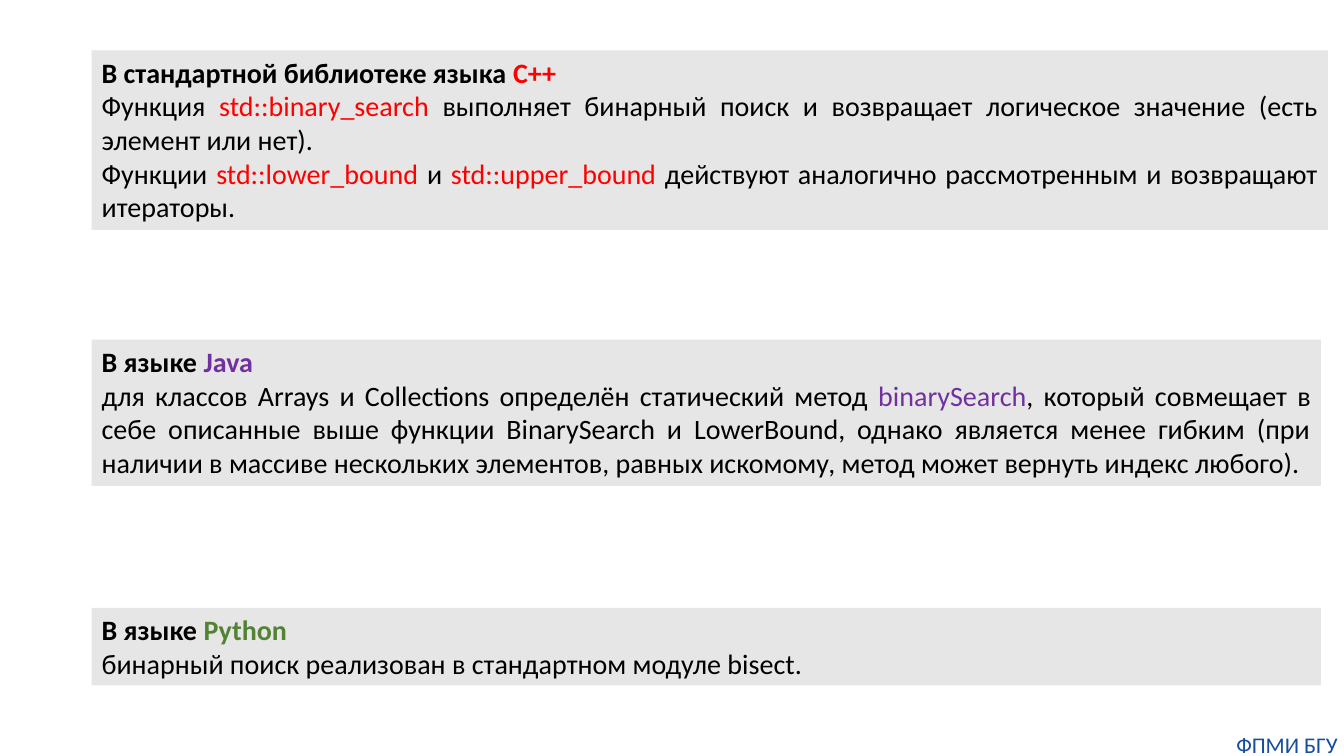
import pptx
import pptx.dml.color
import pptx.enum.shapes
import pptx.enum.text
import pptx.util

WIDTH, HEIGHT = 13.33, 7.5
LEFT = 0.91
FONT = "Calibri"
COLOURS = {
    "panel": "E7E6E6",
    "text": "000000",
    "cpp": "FF0000",
    "java": "7030A0",
    "python": "548235",
    "footer": "144E9D",
}
ALIGN = pptx.enum.text.PP_ALIGN

# Each panel: top, width, height, accent, heading, language, body paragraphs.
# Body spans at odd positions take the accent colour.
PANELS = [
    (0.5, 12.26, 1.78, "cpp", "В стандартной библиотеке языка ", "C++", [
        ["Функция ", "std::binary_search ",
         "выполняет бинарный поиск и возвращает логическое значение "
         "(есть элемент или нет)."],
        ["Функции ", "std::lower_bound ", "и ", "std::upper_bound ",
         "действуют аналогично рассмотренным и возвращают итераторы."],
    ]),
    (3.37, 12.19, 1.45, "java", "В языке ", "Java", [
        ["для классов Arrays и Collections определён статический метод ",
         "binarySearch",
         ", который совмещает в себе описанные выше функции BinarySearch "
         "и LowerBound, однако является менее гибким (при наличии в массиве "
         "нескольких элементов, равных искомому, метод может вернуть "
         "индекс любого)."],
    ]),
    (6.03, 12.19, 0.77, "python", "В языке ", "Python", [
        ["бинарный поиск реализован в стандартном модуле bisect."],
    ]),
]


def colour(name):
    return pptx.dml.color.RGBColor.from_string(COLOURS[name])


def add_span(para, text, colour_name, size=20, bold=False):
    span = para.add_run()
    span.text = text
    span.font.name = FONT
    span.font.size = pptx.util.Pt(size)
    span.font.bold = bold
    span.font.color.rgb = colour(colour_name)


def add_spans(para, texts, accent, bold=False):
    """Add runs that alternate between the text and accent colours."""
    for index, text in enumerate(texts):
        add_span(para, text, accent if index % 2 else "text", bold=bold)


def add_panel(page, box, accent, heading, language, body):
    panel = page.shapes.add_shape(
        pptx.enum.shapes.MSO_SHAPE.RECTANGLE, *map(pptx.util.Inches, box))
    panel.shadow.inherit = False
    panel.fill.solid()
    panel.fill.fore_color.rgb = colour("panel")
    panel.line.fill.background()
    frame = panel.text_frame
    frame.word_wrap = True
    frame.vertical_anchor = pptx.enum.text.MSO_ANCHOR.TOP
    title = frame.paragraphs[0]
    title.alignment = ALIGN.LEFT
    add_spans(title, [heading, language], accent, bold=True)
    for texts in body:
        para = frame.add_paragraph()
        para.alignment = ALIGN.JUSTIFY
        add_spans(para, texts, accent)


def add_footer(page, box):
    footer = page.shapes.add_textbox(*map(pptx.util.Inches, box))
    frame = footer.text_frame
    frame.word_wrap = True
    frame.margin_left = frame.margin_right = 0
    frame.margin_top = frame.margin_bottom = 0
    para = frame.paragraphs[0]
    para.alignment = ALIGN.CENTER
    add_span(para, "ФПМИ БГУ", "footer", size=16)


def main():
    deck = pptx.Presentation()
    deck.slide_width = pptx.util.Inches(WIDTH)
    deck.slide_height = pptx.util.Inches(HEIGHT)
    page = deck.slides.add_slide(deck.slide_layouts.get_by_name("Blank"))
    for top, width, height, *content in PANELS:
        add_panel(page, (LEFT, top, width, height), *content)
    footer_width, footer_height = 1.13, 0.27
    add_footer(page, (WIDTH - footer_width, 7.25, footer_width, footer_height))
    deck.save("out.pptx")


if __name__ == "__main__":
    main()
